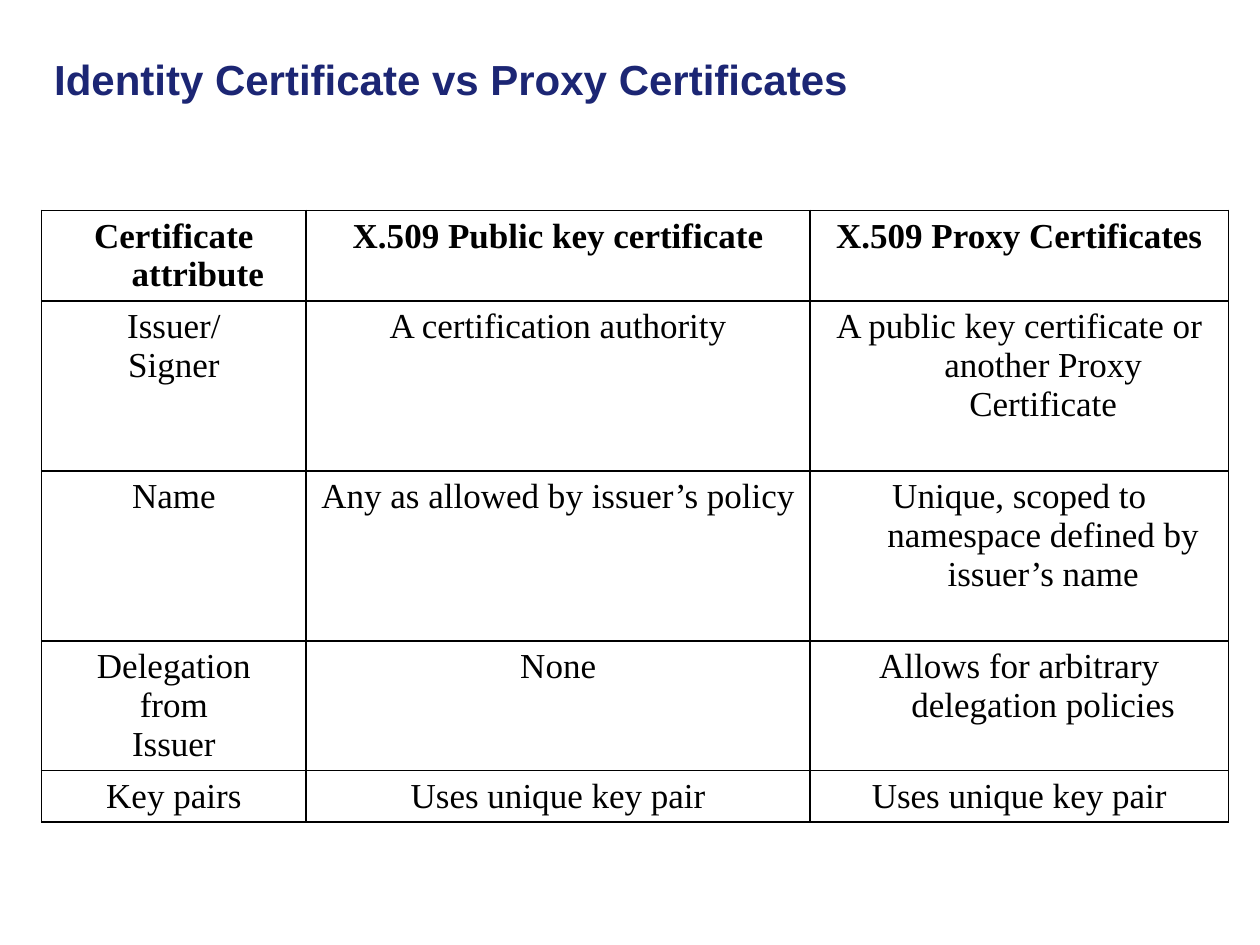
from dataclasses import dataclass

from lxml import etree
from pptx import Presentation
from pptx import util as u
from pptx.dml.color import RGBColor
from pptx.enum import text
from pptx.oxml import ns


@dataclass(frozen=True)
class Theme:
    navy: str = "1C2674"
    ink: str = "000000"
    head: str = "Arial"
    body: str = "Times New Roman"
    big: int = 24
    size: int = 20
    line: int = 1


THEME = Theme()
TITLE = "Identity Certificate vs Proxy Certificates"
WIDTHS = (2.1, 4, 3.32)
HEIGHTS = (0.71, 1.35, 1.35, 1.03, 0.4)
ROWS = (
    ("Certificate attribute", "X.509 Public key certificate",
     "X.509 Proxy Certificates"),
    ("Issuer/\nSigner", "A certification authority",
     "A public key certificate or another Proxy Certificate"),
    ("Name", "Any as allowed by issuer’s policy",
     "Unique, scoped to namespace defined by issuer’s name"),
    ("Delegation\nfrom\nIssuer", "None",
     "Allows for arbitrary delegation policies"),
    ("Key pairs", "Uses unique key pair", "Uses unique key pair"),
)


def style(font, name, size, color, bold):
    font.name = name
    font.size = u.Pt(size)
    font.bold = bold
    font.color.rgb = RGBColor.from_string(color)


def border(cell):
    props = cell._tc.get_or_add_tcPr()
    for side in ("lnL", "lnR", "lnT", "lnB"):
        line = etree.SubElement(props, ns.qn(f"a:{side}"),
                                w=str(u.Pt(THEME.line)))
        fill = etree.SubElement(line, ns.qn("a:solidFill"))
        etree.SubElement(fill, ns.qn("a:srgbClr"), val=THEME.ink)


def add_title(slide, box):
    title = slide.shapes.title
    title.left, title.top, title.width, title.height = map(u.Inches, box)
    frame = title.text_frame
    frame.text = TITLE
    frame.word_wrap = True
    frame.vertical_anchor = text.MSO_ANCHOR.MIDDLE
    para = frame.paragraphs[0]
    para.alignment = text.PP_ALIGN.LEFT
    style(para.font, THEME.head, THEME.big, THEME.navy, True)


def fill_cell(cell, words, bold):
    cell.text = words
    border(cell)
    cell.fill.background()
    indent = u.Inches(0.38)
    for para in cell.text_frame.paragraphs:
        para.alignment = text.PP_ALIGN.CENTER
        props = para._p.get_or_add_pPr()
        props.set("marL", str(indent))
        props.set("indent", str(-indent))
        style(para.font, THEME.body, THEME.size, THEME.ink, bold)


def add_grid(slide, box):
    table = slide.shapes.add_table(
        len(ROWS), len(WIDTHS), *map(u.Inches, box)).table
    table.first_row = table.horz_banding = False
    for col, width in zip(table.columns, WIDTHS):
        col.width = u.Inches(width)
    for row, height, words in zip(table.rows, HEIGHTS, ROWS):
        row.height = u.Inches(height)
        for cell, part in zip(row.cells, words):
            fill_cell(cell, part, words is ROWS[0])


def main():
    deck = Presentation()
    deck.slide_width, deck.slide_height = u.Inches(10), u.Inches(7.5)
    slide = deck.slides.add_slide(deck.slide_layouts[5])
    add_title(slide, (0.33, 0, 7.5, 1.25))
    add_grid(slide, (0.33, 1.67, sum(WIDTHS), sum(HEIGHTS)))
    deck.save("out.pptx")


if __name__ == "__main__":
    main()
